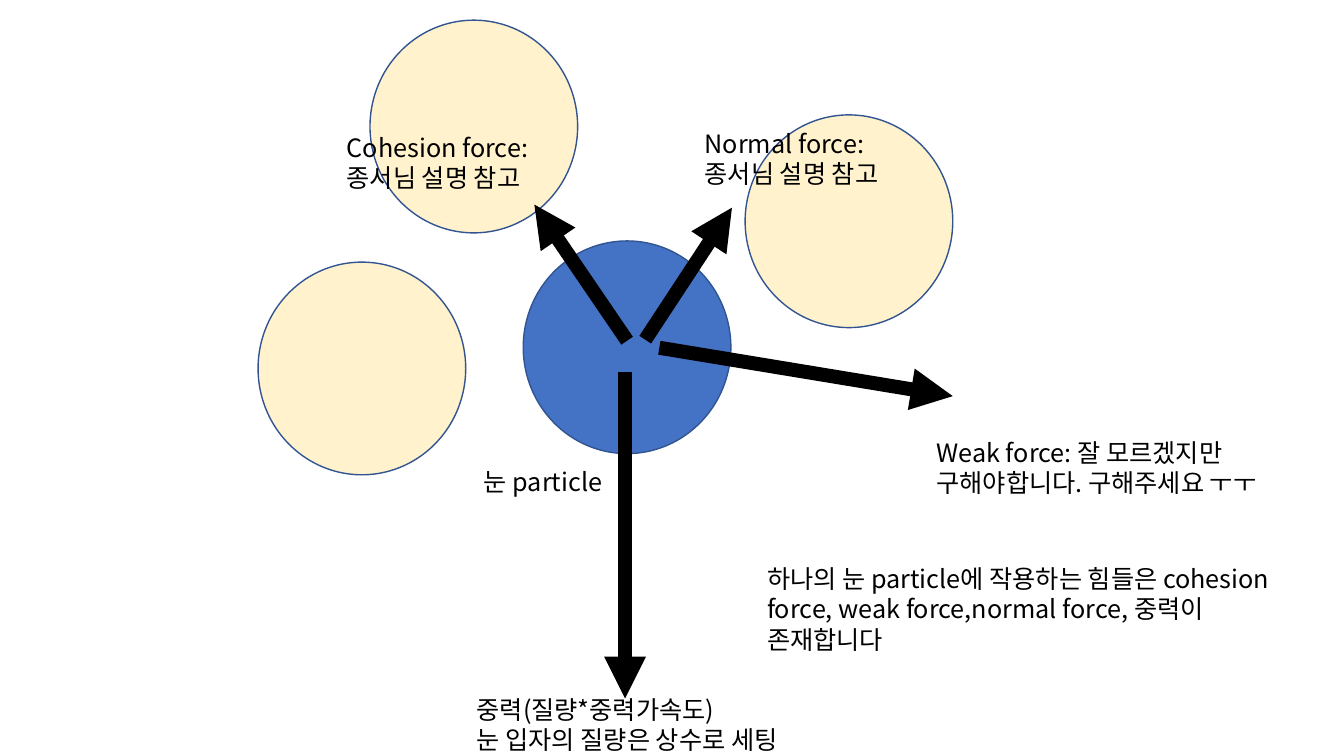
from dataclasses import dataclass
from typing import NamedTuple

from lxml.etree import SubElement
from pptx import Presentation
from pptx.dml.color import RGBColor
from pptx.enum.shapes import MSO_CONNECTOR, MSO_SHAPE
from pptx.enum.text import MSO_ANCHOR
from pptx.oxml.ns import qn
from pptx.util import Inches, Length, Pt


@dataclass(frozen=True)
class Theme:
    font: str = "Noto Sans CJK KR"
    text_size: int = 18
    ink: str = "000000"
    particle: str = "4472C4"
    neighbour: str = "FFF2CC"
    outline: str = "325491"
    outline_width: int = 1
    arrow_width: int = 10


class Circle(NamedTuple):
    left: float
    top: float
    fill: str


class Label(NamedTuple):
    left: float
    top: float
    width: float
    height: float
    lines: tuple[str, ...]


class Force(NamedTuple):
    start: tuple[float, float]
    end: tuple[float, float]


THEME = Theme()
deck = Presentation()
deck.slide_width, deck.slide_height = Inches(13.33), Inches(7.5)
page = deck.slides.add_slide(deck.slide_layouts[6])


# Positions and sizes are percentages of the slide's width and height
def across(share: float) -> Length:
    return Length(round(deck.slide_width * share / 100))


def down(share: float) -> Length:
    return Length(round(deck.slide_height * share / 100))


CIRCLE_WIDTH, CIRCLE_HEIGHT = 15.45, 28.13
LABEL_WIDTH, TWO_LINES, THREE_LINES = 34.43, 9.47, 13.47

CIRCLES = [
    Circle(38.93, 31.87, THEME.particle),
    Circle(55.44, 15.2, THEME.neighbour),
    Circle(27.53, 2.67, THEME.neighbour),
    Circle(19.2, 34.67, THEME.neighbour),
]

FORCES = [
    Force((46.66, 45.07), (39.76, 27.07)),  # cohesion
    Force((49.06, 46), (70.89, 52.4)),  # weak
    Force((46.51, 49.2), (46.51, 92.4)),  # gravity
    Force((48.01, 44.93), (54.46, 27.47)),  # normal
]

REFERENCE = "종서님 설명 참고"
LABELS = [
    Label(35.26, 61.07, 15, TWO_LINES, ("눈 particle",)),
    Label(56.34, 73.87, 40.44, THREE_LINES, (
        "하나의 눈 particle에 작용하는 힘들은 cohesion force, "
        "weak force,normal force, 중력이 존재합니다",)),
    Label(34.73, 91.2, LABEL_WIDTH, THREE_LINES,
          ("중력(질량*중력가속도)", "눈 입자의 질량은 상수로 세팅")),
    Label(25.06, 16.8, LABEL_WIDTH, TWO_LINES, ("Cohesion force:", REFERENCE)),
    Label(68.94, 57.2, LABEL_WIDTH, TWO_LINES,
          ("Weak force: 잘 모르겠지만", "구해야합니다. 구해주세요 ㅜㅜ")),
    Label(51.69, 16.27, LABEL_WIDTH, TWO_LINES, ("Normal force:", REFERENCE)),
]


def draw_circle(circle: Circle) -> None:
    shape = page.shapes.add_shape(
        MSO_SHAPE.OVAL, across(circle.left), down(circle.top),
        across(CIRCLE_WIDTH), down(CIRCLE_HEIGHT))
    shape.shadow.inherit = False
    shape.fill.solid()
    shape.fill.fore_color.rgb = RGBColor.from_string(circle.fill)
    shape.line.color.rgb = RGBColor.from_string(THEME.outline)
    shape.line.width = Pt(THEME.outline_width)


def draw_force(force: Force) -> None:
    (start_x, start_y), (end_x, end_y) = force
    arrow = page.shapes.add_connector(
        MSO_CONNECTOR.STRAIGHT, across(start_x), down(start_y),
        across(end_x), down(end_y))
    arrow.line.color.rgb = RGBColor.from_string(THEME.ink)
    arrow.line.width = Pt(THEME.arrow_width)
    SubElement(arrow.line._get_or_add_ln(), qn("a:tailEnd"), type="triangle")
    SubElement(arrow._element.spPr, qn("a:effectLst"))


def add_span(para, text: str, *, size: int, color: str, font: str) -> None:
    span = para.add_run()
    span.text = text
    span.font.size = Pt(size)
    span.font.color.rgb = RGBColor.from_string(color)
    span.font.name = font
    SubElement(span.font._element, qn("a:ea"), typeface=font)


def draw_label(label: Label) -> None:
    box = page.shapes.add_textbox(
        across(label.left), down(label.top),
        across(label.width), down(label.height))
    frame = box.text_frame
    frame.word_wrap = True
    frame.vertical_anchor = MSO_ANCHOR.TOP
    for index, line in enumerate(label.lines):
        para = frame.add_paragraph() if index else frame.paragraphs[0]
        add_span(para, line, size=THEME.text_size, color=THEME.ink, font=THEME.font)


# Particles first, then the forces and their labels on top
for circle in CIRCLES:
    draw_circle(circle)
for force in FORCES:
    draw_force(force)
for label in LABELS:
    draw_label(label)

deck.save("out.pptx")
